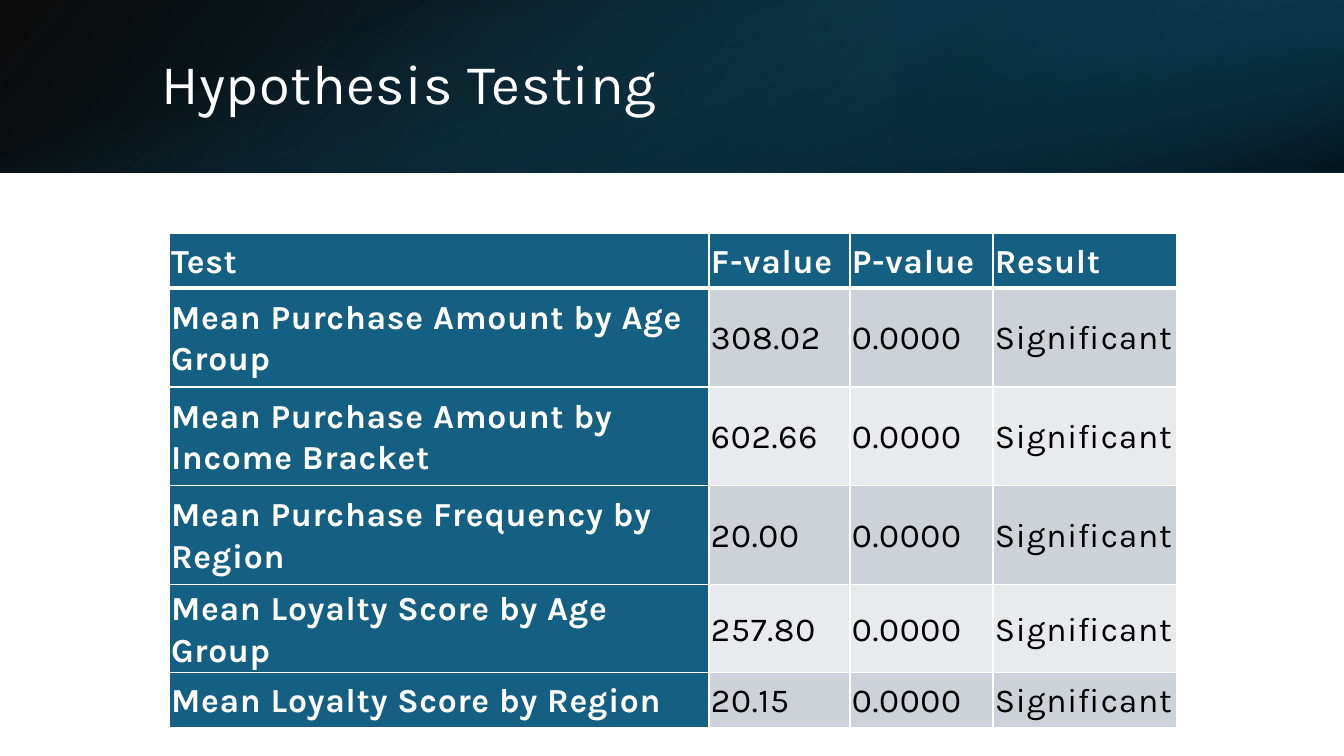
from dataclasses import dataclass

from lxml.etree import SubElement
from pptx import Presentation
from pptx.dml.color import RGBColor
from pptx.enum.shapes import MSO_SHAPE as Preset
from pptx.enum.text import MSO_ANCHOR as Anchor, PP_ALIGN as Align
from pptx.oxml.ns import qn
from pptx.slide import Slide
from pptx.table import _Cell as Cell
from pptx.text.text import TextFrame
from pptx.util import Emu, Pt

WHITE = RGBColor(0xFF, 0xFF, 0xFF)
BLACK = RGBColor(0x00, 0x00, 0x00)
TEAL = RGBColor(0x15, 0x60, 0x82)
DARK_TEAL = RGBColor(0x10, 0x48, 0x62)
DEEP_TEAL = RGBColor(0x0B, 0x30, 0x41)
BAND_DARK = RGBColor(0xCC, 0xD2, 0xD8)
BAND_LIGHT = RGBColor(0xE8, 0xEA, 0xED)

FONT = "Karla"
TRACKING = 50  # hundredths of a point
SLIDE_WIDTH, SLIDE_HEIGHT, BANNER_HEIGHT = 1344, 756, 173
COLUMN_WIDTHS = (540, 141, 143, 184)
ROW_HEIGHTS = (55, 99, 99, 99, 55, 55)
CELL_INSET = 2

TEST_ROWS = (
    ("Test", "F-value", "P-value", "Result"),
    ("Mean Purchase Amount by Age Group", "308.02", "0.0000", "Significant"),
    ("Mean Purchase Amount by Income Bracket", "602.66", "0.0000", "Significant"),
    ("Mean Purchase Frequency by Region", "20.00", "0.0000", "Significant"),
    ("Mean Loyalty Score by Age Group", "257.80", "0.0000", "Significant"),
    ("Mean Loyalty Score by Region", "20.15", "0.0000", "Significant"),
)


@dataclass(frozen=True)
class GradientStop:
    position: int
    color: RGBColor
    opacity: int


@dataclass(frozen=True)
class BannerLayer:
    center_x: int
    width: int
    height: int
    rotation: int
    flipped: bool
    angle: int
    stops: tuple[GradientStop, ...]


BANNER_LAYERS = (
    BannerLayer(672, SLIDE_WIDTH, BANNER_HEIGHT, 0, True, 140,
                (GradientStop(0, BLACK, 96), GradientStop(100, DARK_TEAL, 100))),
    BannerLayer(1120, 448, BANNER_HEIGHT, 180, True, 320,
                (GradientStop(19, DEEP_TEAL, 68), GradientStop(100, TEAL, 79))),
    BannerLayer(672, BANNER_HEIGHT, SLIDE_WIDTH, 90, False, 340,
                (GradientStop(23, TEAL, 0), GradientStop(99, BLACK, 74))),
)


def px(length: float) -> Emu:
    return Emu(round(length * 914400 / 100.8))


def write_text(frame: TextFrame, text: str, *, size: int, color: RGBColor,
               bold: bool = False, line_spacing: float = 1.0,
               space_after: int = 0) -> None:
    frame.word_wrap = True
    frame.vertical_anchor = Anchor.MIDDLE
    paragraph = frame.paragraphs[0]
    paragraph.alignment = Align.LEFT
    paragraph.line_spacing = line_spacing
    paragraph.space_before = Pt(0)
    paragraph.space_after = Pt(space_after)
    run = paragraph.add_run()
    run.text = text
    run.font.name = FONT
    run.font.size = Pt(size)
    run.font.bold = bold
    run.font.color.rgb = color
    run.font._element.set("spc", str(TRACKING))


def add_banner_layer(slide: Slide, layer: BannerLayer) -> None:
    shape = slide.shapes.add_shape(
        Preset.RECTANGLE, px(layer.center_x - layer.width / 2),
        px((BANNER_HEIGHT - layer.height) / 2), px(layer.width), px(layer.height))
    shape.shadow.inherit = False
    shape.line.fill.background()
    shape.rotation = layer.rotation
    properties = shape._element.spPr
    if layer.flipped:
        properties.find(qn("a:xfrm")).set("flipH", "1")

    # Transparent gradient stops
    shape.fill.gradient()
    gradient = properties.find(qn("a:gradFill"))
    stop_list = gradient.find(qn("a:gsLst"))
    for default_stop in list(stop_list):
        stop_list.remove(default_stop)
    for stop in layer.stops:
        entry = SubElement(stop_list, qn("a:gs"), pos=str(stop.position * 1000))
        color = SubElement(entry, qn("a:srgbClr"), val=str(stop.color))
        if stop.opacity < 100:
            SubElement(color, qn("a:alpha"), val=str(stop.opacity * 1000))
    gradient.find(qn("a:lin")).set("ang", str(layer.angle * 60000))


def set_borders(cell: Cell, bottom_width: int) -> None:
    properties = cell._tc.get_or_add_tcPr()
    for side, width in (("L", 1), ("R", 1), ("T", 1), ("B", bottom_width)):
        line = SubElement(properties, qn(f"a:ln{side}"), w=str(Pt(width)))
        fill = SubElement(line, qn("a:solidFill"))
        SubElement(fill, qn("a:srgbClr"), val=str(WHITE))


def add_test_table(slide: Slide) -> None:
    table = slide.shapes.add_table(
        len(ROW_HEIGHTS), len(COLUMN_WIDTHS), px(169), px(233),
        px(sum(COLUMN_WIDTHS)), px(sum(ROW_HEIGHTS))).table
    table.first_col = True
    for column, width in zip(table.columns, COLUMN_WIDTHS):
        column.width = px(width)
    for row, height in zip(table.rows, ROW_HEIGHTS):
        row.height = px(height)

    for row_index, texts in enumerate(TEST_ROWS):
        for column_index, text in enumerate(texts):
            cell = table.cell(row_index, column_index)
            heading = row_index == 0 or column_index == 0
            band = BAND_DARK if row_index % 2 else BAND_LIGHT
            cell.margin_left = cell.margin_right = px(CELL_INSET)
            cell.margin_top = cell.margin_bottom = px(CELL_INSET)
            cell.vertical_anchor = Anchor.MIDDLE
            set_borders(cell, 3 if row_index == 0 else 1)
            cell.fill.solid()
            cell.fill.fore_color.rgb = TEAL if heading else band
            write_text(cell.text_frame, text, size=24, bold=heading,
                       color=WHITE if heading else BLACK,
                       line_spacing=1.07, space_after=8)


def add_title(slide: Slide) -> None:
    title = slide.shapes.title
    title.left, title.top, title.width, title.height = map(px, (151, 38, 1107, 97))
    write_text(title.text_frame, "Hypothesis Testing", size=40, color=WHITE,
               line_spacing=0.9)
    # Bring the title in front of the banner
    slide.shapes._spTree.append(title._element)


def main() -> None:
    presentation = Presentation()
    presentation.slide_width = px(SLIDE_WIDTH)
    presentation.slide_height = px(SLIDE_HEIGHT)
    slide = presentation.slides.add_slide(presentation.slide_layouts[5])
    slide.background.fill.solid()
    slide.background.fill.fore_color.rgb = WHITE
    for layer in BANNER_LAYERS:
        add_banner_layer(slide, layer)
    add_title(slide)
    add_test_table(slide)
    presentation.save("out.pptx")


if __name__ == "__main__":
    main()
